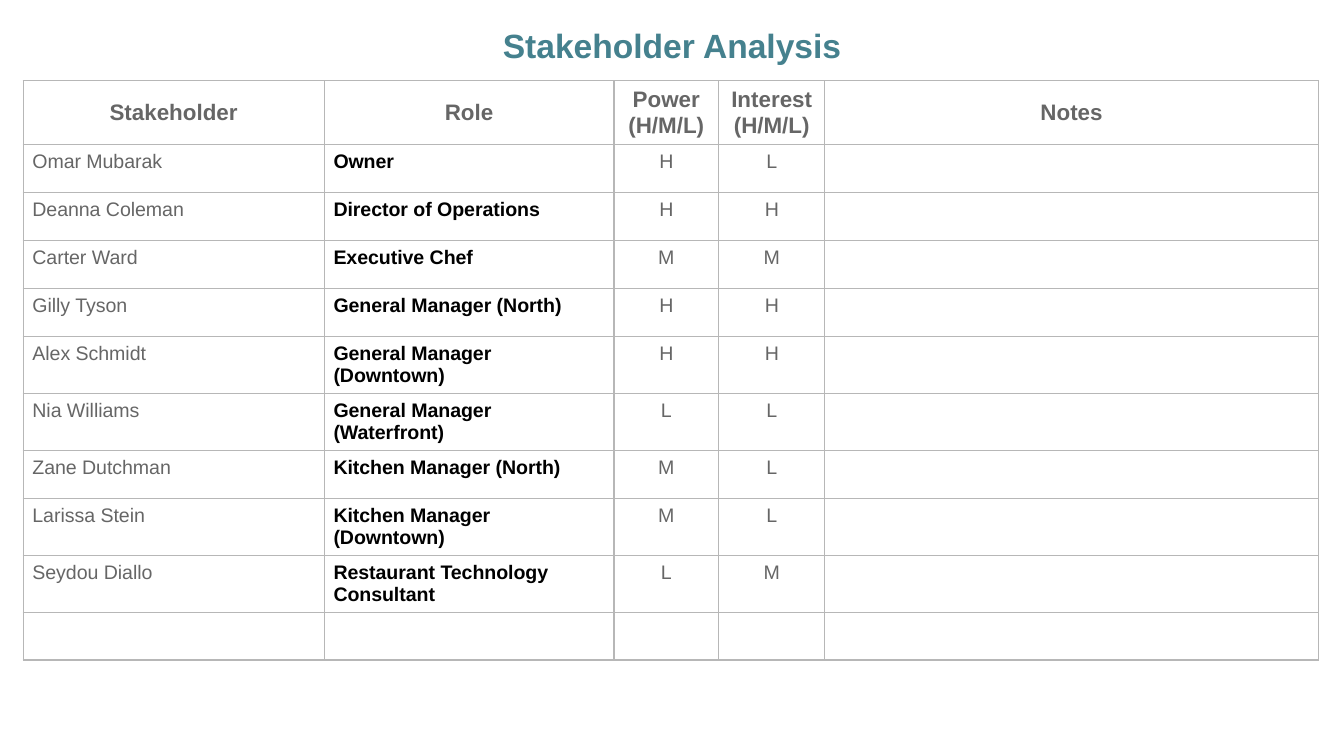
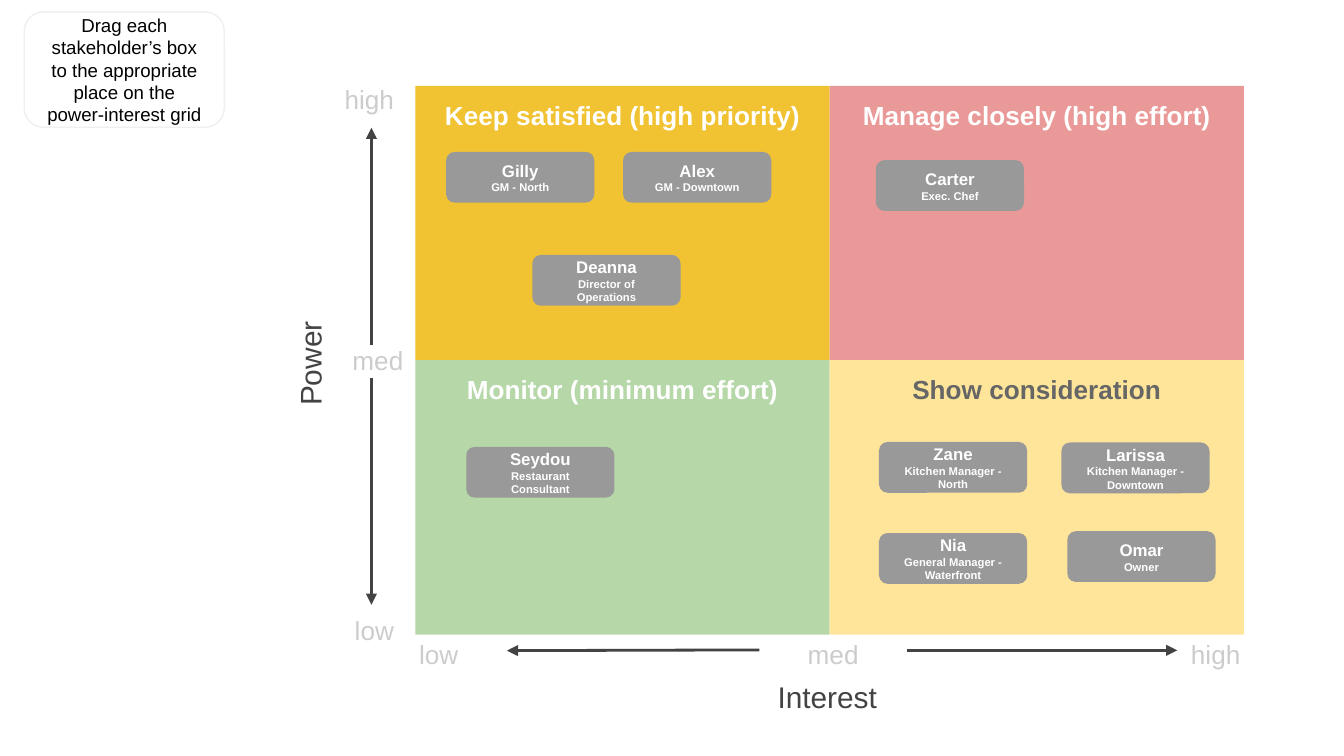
from dataclasses import dataclass
from typing import Any

from lxml.etree import SubElement as Sub
from pptx import Presentation
from pptx.dml.fill import FillFormat as Fill
from pptx.dml.color import RGBColor as Rgb
from pptx.enum.shapes import MSO_CONNECTOR as Conn, MSO_SHAPE as Form
from pptx.enum.text import MSO_ANCHOR as Anchor, MSO_AUTO_SIZE as Fit, PP_ALIGN as Align
from pptx.oxml.ns import qn
from pptx.slide import Slide
from pptx.text.text import TextFrame as Frame
from pptx.util import Pt

FACE = "Arial"
WHITE, BLACK, TEAL = "FFFFFF", "000000", "45818E"
GREY, DARK, PALE = "666666", "434343", "CCCCCC"
CHIP, RULE, EDGE = "999999", "B7B7B7", "EFEFEF"
PAD = 7.2
LEFT, TOP, WIDE, HIGH = 222.6, 46, 221.9, 147
CHIP_W, CHIP_H = 79.4, 27.2


@dataclass(frozen=True)
class Style:
    size: float
    color: str
    bold: bool = False
    align: Any = Align.CENTER


@dataclass(frozen=True)
class Box:
    x: float
    y: float
    w: float
    h: float


@dataclass(frozen=True)
class Quad:
    text: str
    fill: str
    color: str = WHITE


@dataclass(frozen=True)
class Label:
    text: str
    box: Box
    style: Style
    turn: int = 0
    anchor: Any = Anchor.TOP


@dataclass(frozen=True)
class Chip:
    name: str
    role: str
    x: float
    y: float


@dataclass(frozen=True)
class Arrow:
    x1: float
    y1: float
    x2: float
    y2: float


HEAD = Style(18, TEAL, True)
COLUMN = Style(12, GREY, True)
PERSON = Style(10.5, GREY, align=Align.LEFT)
ROLE = Style(10.5, BLACK, True, Align.LEFT)
LEVEL = Style(10.5, GREY)
NAME, POST = Style(9, WHITE, True), Style(6, WHITE, True)
AXIS, MARK = Style(16, DARK), Style(14, PALE)
SIDE = Style(14, PALE, align=Align.RIGHT)
HINT = Style(10, BLACK)

WIDTHS = (161.3, 155.2, 56.2, 56.8, 264.5)
TITLES = ("Stakeholder", "Role", "Power (H/M/L)", "Interest (H/M/L)", "Notes")
PEOPLE = (
    ("Omar Mubarak", "Owner", "H", "L"),
    ("Deanna Coleman", "Director of Operations", "H", "H"),
    ("Carter Ward", "Executive Chef", "M", "M"),
    ("Gilly Tyson", "General Manager (North)", "H", "H"),
    ("Alex Schmidt", "General Manager (Downtown)", "H", "H"),
    ("Nia Williams", "General Manager (Waterfront)", "L", "L"),
    ("Zane Dutchman", "Kitchen Manager (North)", "M", "L"),
    ("Larissa Stein", "Kitchen Manager (Downtown)", "M", "L"),
    ("Seydou Diallo", "Restaurant Technology Consultant", "L", "M"),
    (),
)
QUADS = (
    Quad("Keep satisfied (high priority)", "F1C232"),
    Quad("Manage closely (high effort)", "EA9999"),
    Quad("Monitor (minimum effort)", "B6D7A8"),
    Quad("Show consideration", "FFE599", GREY),
)
LABELS = (
    Label("Power", Box(100, 182.2, 131.8, 25.2), AXIS, 270, Anchor.MIDDLE),
    Label("high", Box(122.4, 37.4, 95.8, 18.7), SIDE),
    Label("med", Box(174.2, 177.1, 49, 31.7), SIDE),
    Label("low", Box(122.4, 321.8, 95.8, 18.7), SIDE),
    Label("low", Box(198.7, 334.8, 72.7, 27.4), MARK),
    Label("med", Box(406.8, 334.8, 79.2, 27.4), MARK),
    Label("high", Box(614.9, 334.8, 72.7, 27.4), MARK),
    Label("Interest", Box(389.5, 356.4, 107.3, 33.8), AXIS),
)
ARROWS = (
    Arrow(199, 185, 199, 68.4),
    Arrow(199, 202.3, 199, 324),
    Arrow(486, 348.4, 630.7, 348.4),
    Arrow(406.8, 348.2, 271.6, 348.6),
)
CHIPS = (
    Chip("Gilly", "GM - North", 239, 81.4),
    Chip("Alex", "GM - Downtown", 333.8, 81.4),
    Chip("Deanna", "Director of Operations", 285.2, 136.6),
    Chip("Carter", "Exec. Chef", 469.2, 85.8),
    Chip("Seydou", "Restaurant Consultant", 249.8, 239.4),
    Chip("Zane", "Kitchen Manager - North", 470.9, 236.8),
    Chip("Larissa", "Kitchen Manager - Downtown", 568.6, 237.1),
    Chip("Nia", "General Manager - Waterfront", 470.9, 285.6),
    Chip("Omar", "Owner", 571.8, 284.6),
)


def put(item: Any, vals: dict[str, Any]) -> None:
    for key, val in vals.items():
        setattr(item, key, val)


def ink(fill: Fill, color: str) -> None:
    fill.solid()
    fill.fore_color.rgb = Rgb.from_string(color)


def spot(box: Box) -> tuple[Pt, ...]:
    return Pt(box.x), Pt(box.y), Pt(box.w), Pt(box.h)


def write(frame: Frame, *lines: tuple[str, Style]) -> None:
    for i, (text, style) in enumerate(lines):
        para = frame.add_paragraph() if i else frame.paragraphs[0]
        para.alignment = style.align
        if text:
            run = para.add_run()
            run.text = text
            put(run.font, {"name": FACE, "size": Pt(style.size), "bold": style.bold})
            ink(run.font.fill, style.color)
        else:
            Sub(para._p, qn("a:endParaRPr"), sz=str(int(style.size * 100)))


def frame_up(frame: Frame, anchor: Any = Anchor.TOP) -> None:
    sides = ("left", "top", "right", "bottom")
    put(frame, {f"margin_{side}": Pt(PAD) for side in sides})
    put(frame, {"word_wrap": True, "auto_size": Fit.NONE, "vertical_anchor": anchor})


def add_form(slide: Slide, form: Any, box: Box, fill: str, edge: str, anchor: Any,
             *lines: tuple[str, Style]) -> None:
    shape = slide.shapes.add_shape(form, *spot(box))
    shape.shadow.inherit = False
    if fill:
        ink(shape.fill, fill)
    else:
        shape.fill.background()
    if edge:
        ink(shape.line.fill, edge)
        shape.line.width = Pt(0.75)
    else:
        shape.line.fill.background()
    frame_up(shape.text_frame, anchor)
    write(shape.text_frame, *lines)


def add_label(slide: Slide, label: Label) -> None:
    shape = slide.shapes.add_textbox(*spot(label.box))
    shape.rotation = label.turn
    frame_up(shape.text_frame, label.anchor)
    write(shape.text_frame, (label.text, label.style))


def add_arrow(slide: Slide, arrow: Arrow) -> None:
    ends = (arrow.x1, arrow.y1, arrow.x2, arrow.y2)
    line = slide.shapes.add_connector(Conn.STRAIGHT, *map(Pt, ends))
    ink(line.line.fill, DARK)
    line.line.width = Pt(1.5)
    props = line.element.spPr
    Sub(props.find(qn("a:ln")), qn("a:tailEnd"), type="triangle")
    Sub(props, qn("a:effectLst"))


def fill_cell(cell: Any, text: str, style: Style, anchor: Any) -> None:
    put(cell, {"margin_left": Pt(5), "margin_right": Pt(5), "margin_top": Pt(3.6),
               "margin_bottom": Pt(3.6), "vertical_anchor": anchor})
    props = cell._tc.get_or_add_tcPr()
    for side in "LRTB":
        line = Sub(props, qn(f"a:ln{side}"), w=str(Pt(0.75)))
        Sub(Sub(line, qn("a:solidFill")), qn("a:srgbClr"), val=RULE)
    cell.fill.background()
    write(cell.text_frame, (text, style))


def draw_list(slide: Slide) -> None:
    title = slide.shapes.title
    put(title, dict(zip(("left", "top", "width", "height"), spot(Box(59.8, 2.9, 600.5, 36)))))
    frame_up(title.text_frame)
    write(title.text_frame, ("Stakeholder Analysis", HEAD))
    title.text_frame.paragraphs[0].line_spacing = 1.15

    box = Box(12.4, 43.3, sum(WIDTHS), 277)
    rows = len(PEOPLE) + 1
    table = slide.shapes.add_table(rows, len(WIDTHS), *spot(box)).table
    put(table, {"first_row": False, "horz_banding": False})
    for col, width in zip(table.columns, WIDTHS):
        col.width = Pt(width)
    for i, row in enumerate(table.rows):
        row.height = Pt(25.7 if i else 20.2)
    for cell, text in zip(table.rows[0].cells, TITLES):
        fill_cell(cell, text, COLUMN, Anchor.MIDDLE)
    styles = (PERSON, ROLE, LEVEL, LEVEL, PERSON)
    for r, person in enumerate(PEOPLE, 1):
        texts = person + ("",) * (len(WIDTHS) - len(person))
        for cell, text, style in zip(table.rows[r].cells, texts, styles):
            fill_cell(cell, text, style, Anchor.TOP)


def draw_grid(slide: Slide) -> None:
    for i, quad in enumerate(QUADS):
        row, col = divmod(i, 2)
        box = Box(LEFT + col * WIDE, TOP + row * HIGH, WIDE, HIGH)
        add_form(slide, Form.RECTANGLE, box, quad.fill, "", Anchor.TOP,
                 (quad.text, Style(14, quad.color, True)))
    for label in LABELS:
        add_label(slide, label)
    for arrow in ARROWS:
        add_arrow(slide, arrow)
    add_form(slide, Form.ROUNDED_RECTANGLE, Box(13, 6.4, 107.2, 61.8), "", EDGE, Anchor.MIDDLE,
             ("Drag each stakeholder’s box to the appropriate place on the power-interest grid", HINT))
    for chip in CHIPS:
        add_form(slide, Form.ROUNDED_RECTANGLE, Box(chip.x, chip.y, CHIP_W, CHIP_H), CHIP, "",
                 Anchor.MIDDLE, (chip.name, NAME), (chip.role, POST))


def main() -> None:
    deck = Presentation()
    put(deck, {"slide_width": Pt(720), "slide_height": Pt(405)})
    for layout, draw in ((5, draw_list), (6, draw_grid)):
        slide = deck.slides.add_slide(deck.slide_layouts[layout])
        ink(slide.background.fill, WHITE)
        draw(slide)
    deck.save("out.pptx")


if __name__ == "__main__":
    main()
